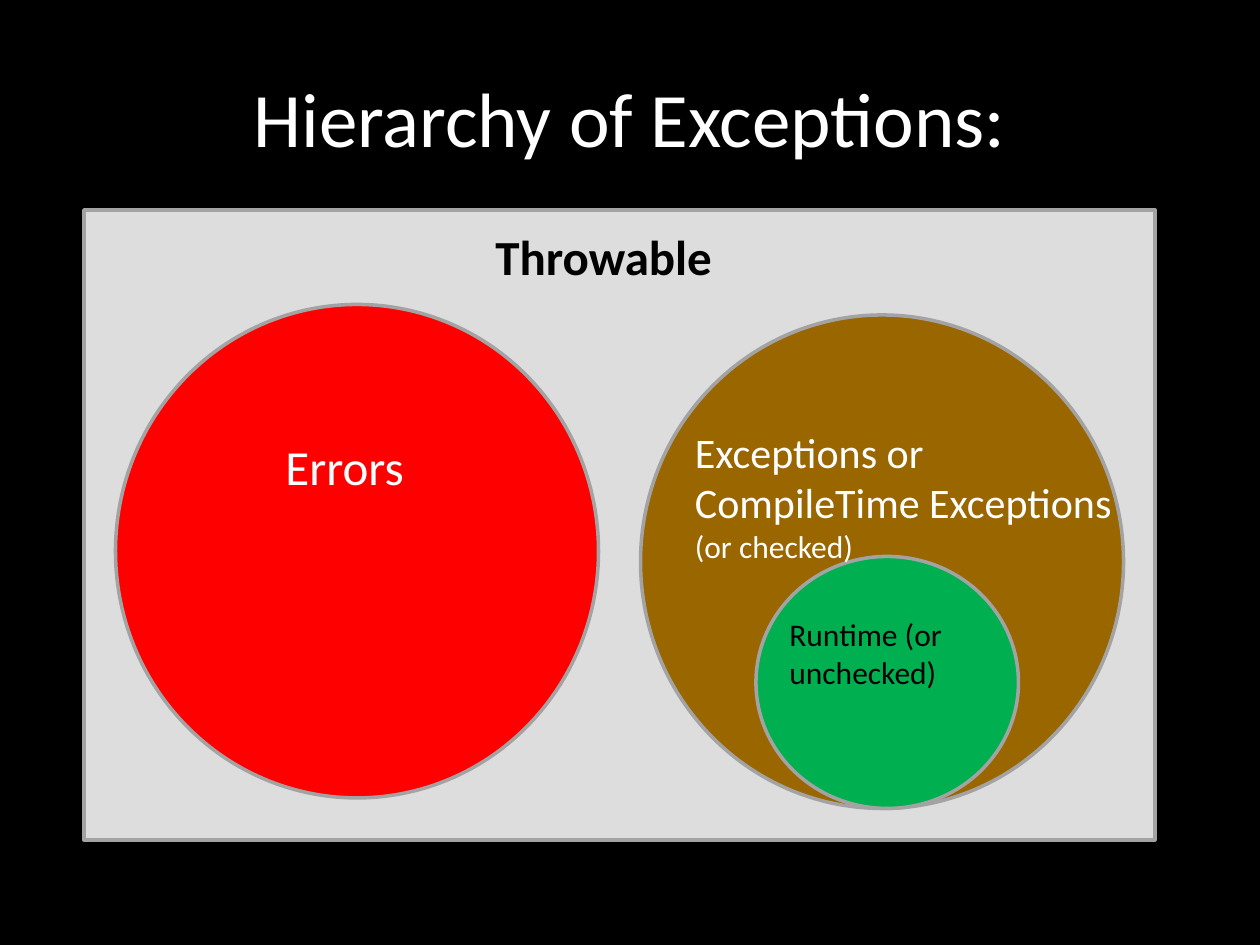
from pptx import Presentation
from pptx.dml.color import RGBColor
from pptx.enum import shapes, text
from pptx.util import Inches, Pt

WHITE, BLACK = "FFFFFF", "000000"
RECT, OVAL = shapes.MSO_SHAPE.RECTANGLE, shapes.MSO_SHAPE.OVAL


def color(value):
    return RGBColor.from_string(value)


def add_run(p, content, size=18, fill=WHITE, bold=False, font="Calibri"):
    r = p.add_run()
    r.text = content
    r.font.name, r.font.size, r.font.bold = font, Pt(size), bold
    r.font.color.rgb = color(fill)


class Deck:
    """Style and current slide, measured on a grid of 120 columns by 90 rows."""

    line, line_width = "A3A3A3", 2
    cols, rows = 120, 90

    def __init__(self, width=10, height=7.5):
        self.prs = Presentation()
        self.prs.slide_width, self.prs.slide_height = Inches(width), Inches(height)
        self.s = self.prs.slides.add_slide(self.prs.slide_layouts[6])

    def background(self, fill):
        self.s.background.fill.solid()
        self.s.background.fill.fore_color.rgb = color(fill)

    def box(self, col, row, width, height):
        dx, dy = self.prs.slide_width / self.cols, self.prs.slide_height / self.rows
        return [round(v) for v in (col * dx, row * dy, width * dx, height * dy)]

    def shape(self, kind, fill, *cells):
        sp = self.s.shapes.add_shape(kind, *self.box(*cells))
        sp.shadow.inherit = False
        sp.fill.solid()
        sp.fill.fore_color.rgb = color(fill)
        sp.line.color.rgb = color(self.line)
        sp.line.width = Pt(self.line_width)

    def label(self, content, *cells, align="LEFT", anchor="TOP", **fmt):
        tf = self.s.shapes.add_textbox(*self.box(*cells)).text_frame
        tf.word_wrap = True
        tf.vertical_anchor = text.MSO_ANCHOR[anchor]
        p = tf.paragraphs[0]
        p.alignment = text.PP_ALIGN[align]
        add_run(p, content, **fmt)
        return p


def main():
    deck = Deck()
    deck.background(BLACK)
    deck.label("Hierarchy of Exceptions:", 6, 3.6, 108, 15,
               align="CENTER", anchor="MIDDLE", size=44)

    deck.shape(RECT, "DDDDDD", 8, 20, 102, 60)
    deck.label("Throwable", 46, 21, 36, 7, size=28, fill=BLACK, bold=True)

    deck.shape(OVAL, "FF0000", 11, 29, 46, 47)
    deck.label("Errors", 26, 41, 21, 7, size=28)

    deck.shape(OVAL, "996600", 61, 30, 46, 47)
    deck.shape(OVAL, "00B050", 72, 53, 25, 24)
    deck.label("Runtime (or unchecked)", 74, 58, 20, 8.5, fill=BLACK)
    p = deck.label("Exceptions or CompileTime Exceptions ", 65, 40, 44, 14.5, size=24)
    add_run(p, "(or checked)")

    deck.prs.save("out.pptx")


if __name__ == "__main__":
    main()
